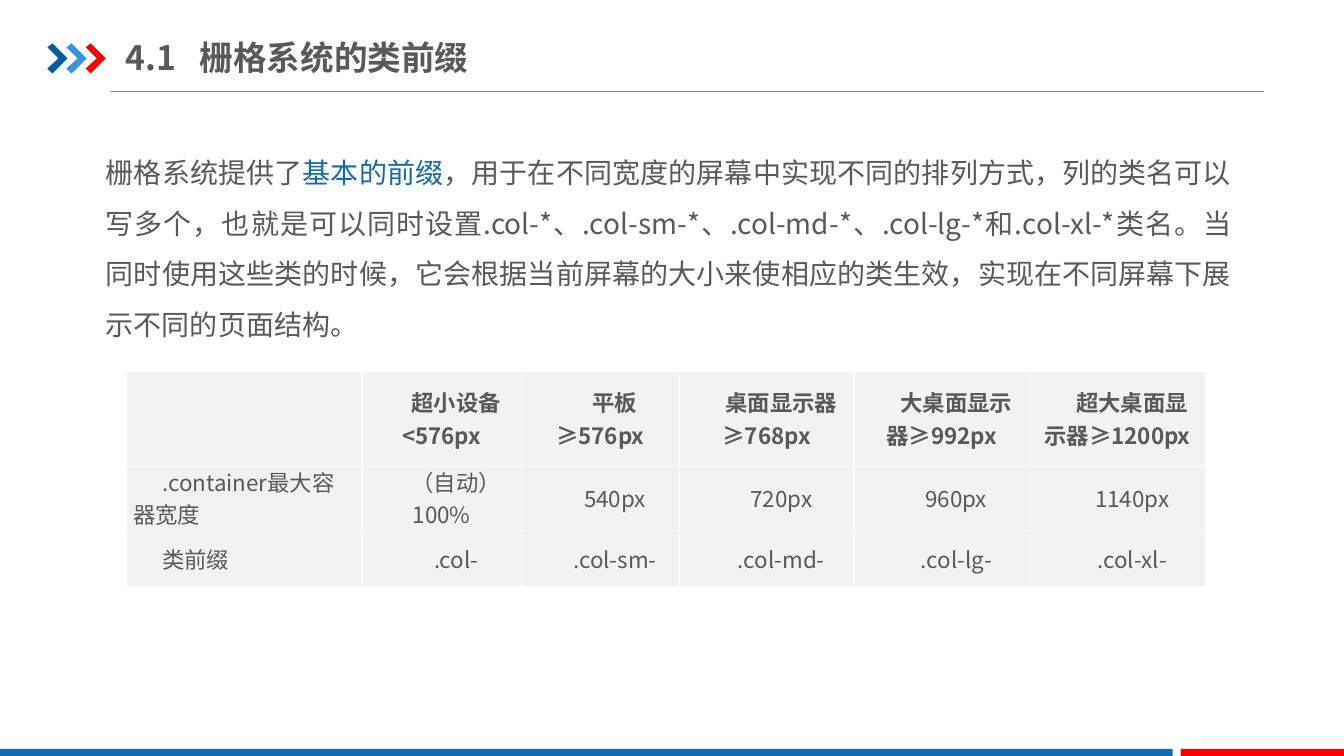
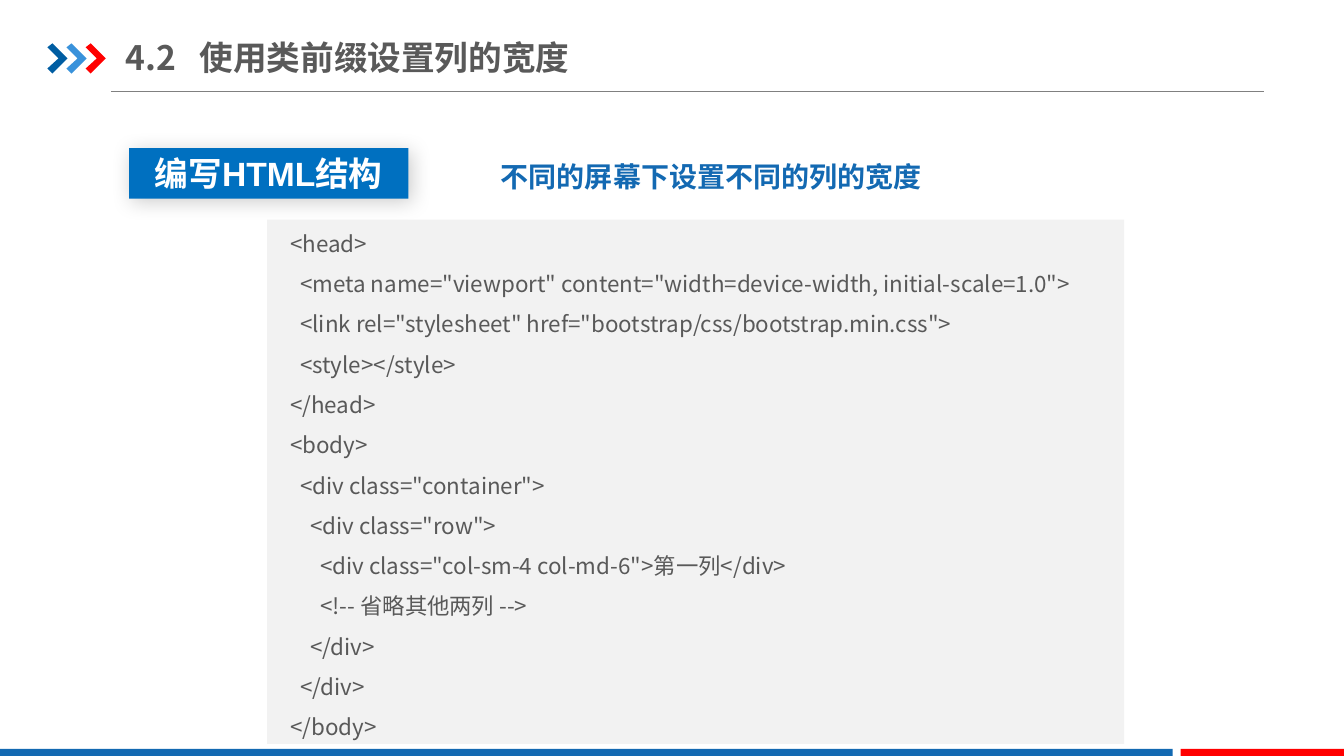
from dataclasses import dataclass

from lxml import etree
from pptx import Presentation
from pptx.dml.color import RGBColor
from pptx.enum.shapes import MSO_CONNECTOR, MSO_SHAPE
from pptx.enum.text import MSO_ANCHOR, PP_ALIGN
from pptx.oxml.ns import qn
from pptx.util import Inches, Pt

LEFT, CENTER, JUSTIFY = PP_ALIGN.LEFT, PP_ALIGN.CENTER, PP_ALIGN.JUSTIFY
TOP, MIDDLE = MSO_ANCHOR.TOP, MSO_ANCHOR.MIDDLE
RECT, STRAIGHT = MSO_SHAPE.RECTANGLE, MSO_CONNECTOR.STRAIGHT


@dataclass(frozen=True)
class Theme:
    """Colours, fonts and type sizes of the deck."""
    text: str = "595959"
    blue: str = "1369B2"
    red: str = "FF0000"
    label: str = "0070C0"
    panel: str = "F2F2F2"
    rule: str = "808080"
    white: str = "FFFFFF"
    shadow: str = "000000"
    chevrons: tuple = ("005DA2", "3992DB", "FF0000")
    font: str = "Noto Sans CJK SC"
    latin: str = "Arial"
    title: int = 24
    body: int = 20
    small: int = 16


T = Theme()

INTRO = [
    ("栅格系统提供了", T.text),
    ("基本的前缀", T.blue),
    ("，用于在不同宽度的屏幕中实现不同的排列方式，列的类名可以写多个，"
     "也就是可以同时设置.col-*、.col-sm-*、.col-md-*、.col-lg-*和.col-xl-*类名。"
     "当同时使用这些类的时候，它会根据当前屏幕的大小来使相应的类生效，"
     "实现在不同屏幕下展示不同的页面结构。", T.text),
]
GRID = [
    ["", "超小设备<576px", "平板≥576px", "桌面显示器≥768px",
     "大桌面显示器≥992px", "超大桌面显示器≥1200px"],
    [".container最大容器宽度", "（自动）100%", "540px", "720px", "960px", "1140px"],
    ["类前缀", ".col-", ".col-sm-", ".col-md-", ".col-lg-", ".col-xl-"],
]
CODE = """<head>
  <meta name="viewport" content="width=device-width, initial-scale=1.0">
  <link rel="stylesheet" href="bootstrap/css/bootstrap.min.css">
  <style></style>
</head>
<body>
  <div class="container">
    <div class="row">
      <div class="col-sm-4 col-md-6">第一列</div>
      <!-- 省略其他两列 -->
    </div>
  </div>
</body>"""


def apply(obj, fmt):
    """Set attributes of an object from a dict."""
    for name, value in fmt.items():
        setattr(obj, name, value)


def add_child(parent, tag, **attrs):
    """Append a DrawingML element with attributes."""
    return etree.SubElement(parent, qn(tag), {k: str(v) for k, v in attrs.items()})


def paint(sp, color):
    """Give a shape a flat fill without line or shadow."""
    sp.shadow.inherit = False
    sp.fill.solid()
    sp.fill.fore_color.rgb = RGBColor.from_string(color)
    sp.line.fill.background()


def add_run(p, text, size, color=T.text, bold=False, font=T.font):
    """Add a formatted run, with the East Asian font set too."""
    r = p.add_run()
    r.text = text
    apply(r.font, {"name": font, "size": Pt(size), "bold": bold})
    r.font.color.rgb = RGBColor.from_string(color)
    add_child(r.font._element, "a:ea", typeface=T.font)


def add_rect(s, box, color):
    """Add a flat rectangle."""
    sp = s.shapes.add_shape(RECT, *map(Inches, box))
    paint(sp, color)
    return sp


def add_text(s, box, paragraphs, size, align=LEFT, spacing=1.5, bold=False,
             anchor=TOP, inset=0.1):
    """Add a wrapping text box from lists of (text, colour) runs."""
    tf = s.shapes.add_textbox(*map(Inches, box)).text_frame
    apply(tf, {"word_wrap": True, "vertical_anchor": anchor,
               "margin_left": Inches(inset), "margin_right": Inches(inset)})
    for i, runs in enumerate(paragraphs):
        p = tf.add_paragraph() if i else tf.paragraphs[0]
        apply(p, {"alignment": align, "line_spacing": spacing})
        for text, color in runs:
            add_run(p, text, size, color, bold)
    return tf


def add_chevron(s, left, color):
    """Add one chevron of the title mark."""
    points = [(0, 0.47), (0.05, 0.43), (0.2, 0.58), (0.05, 0.73), (0, 0.68), (0.11, 0.58)]
    points = [(Inches(left + x), Inches(y)) for x, y in points]
    fb = s.shapes.build_freeform(*points[0], scale=1.0)
    fb.add_line_segments(points[1:], close=True)
    paint(fb.convert_to_shape(), color)


def add_frame(prs, number, title):
    """Add a slide with title, title mark, rule and footer bands."""
    s = prs.slides.add_slide(prs.slide_layouts[6])
    rule = s.shapes.add_connector(STRAIGHT, *map(Inches, (1.1, 0.91, 12.54, 0.91)))
    rule.line.color.rgb = RGBColor.from_string(T.rule)
    rule.line.width = Pt(0.75)
    add_child(rule._element.spPr, "a:effectLst")
    for i, color in enumerate(T.chevrons):
        add_chevron(s, 0.47 + 0.19 * i, color)
    add_rect(s, (0, 7.43, 11.63, 0.09), T.blue)
    add_rect(s, (11.71, 7.43, 1.63, 0.09), T.red)
    tf = add_text(s, (1.25, 0.29, 4.86, 0.55), [[(f"{number}\t{title}", T.text)]],
                  T.title, spacing=1.0, bold=True, anchor=MIDDLE, inset=0)
    tabs = add_child(tf.paragraphs[0]._p.get_or_add_pPr(), "a:tabLst")
    add_child(tabs, "a:tab", pos=Inches(0.73), algn="l")
    return s


def add_borders(cell, color):
    """Give a cell thin borders on all sides."""
    tcPr = cell._tc.get_or_add_tcPr()
    for i, side in enumerate("LRTB"):
        ln = add_child(tcPr, f"a:ln{side}", w=Pt(1))
        add_child(add_child(ln, "a:solidFill"), "a:srgbClr", val=color)
        tcPr.insert(i, ln)


def add_grid(s, left, top, rows, widths, heights):
    """Add a table with a bold head row and a left-aligned first column."""
    box = (left, top, sum(widths), sum(heights))
    table = s.shapes.add_table(len(rows), len(widths), *map(Inches, box)).table
    for col, width in zip(table.columns, widths):
        col.width = Inches(width)
    for i, (row, height) in enumerate(zip(rows, heights)):
        table.rows[i].height = Inches(height)
        for j, text in enumerate(row):
            cell = table.cell(i, j)
            apply(cell, {"vertical_anchor": MIDDLE, "margin_top": 0, "margin_bottom": 0,
                         "margin_left": Inches(0.07), "margin_right": Inches(0.07)})
            cell.fill.solid()
            cell.fill.fore_color.rgb = RGBColor.from_string(T.panel)
            add_borders(cell, T.white)
            if text:
                p = cell.text_frame.paragraphs[0]
                p.alignment = CENTER if j else LEFT
                p._p.get_or_add_pPr().set("indent", str(Inches(0.29)))
                add_run(p, text, T.small, bold=i == 0)


def add_label(s, box, text):
    """Add a filled heading label with a soft shadow."""
    sp = add_rect(s, box, T.label)
    effects = sp._element.spPr.find(qn("a:effectLst"))
    shadow = add_child(effects, "a:outerShdw", blurRad=Pt(15), dist=Pt(3),
                       dir=45 * 60000, algn="tl", rotWithShape=0)
    add_child(add_child(shadow, "a:srgbClr", val=T.shadow), "a:alpha", val=20000)
    tf = sp.text_frame
    apply(tf, {"word_wrap": True, "vertical_anchor": MIDDLE})
    p = tf.paragraphs[0]
    p.alignment = CENTER
    add_run(p, text, T.title, T.white, True, T.latin)


def build_prefixes(prs):
    """Build the slide on the class prefixes."""
    s = add_frame(prs, "4.1", "栅格系统的类前缀")
    add_grid(s, 1.25, 3.68, GRID,
             (2.34, 1.58, 1.57, 1.73, 1.74, 1.75), (0.94, 0.64, 0.56))
    add_text(s, (0.92, 1.33, 11.42, 2.15), [INTRO], T.body, JUSTIFY, inset=0.13)


def build_widths(prs):
    """Build the slide on setting column widths."""
    s = add_frame(prs, "4.2", "使用类前缀设置列的宽度")
    add_rect(s, (2.65, 2.18, 8.5, 5.2), T.panel)
    add_text(s, (4.02, 1.37, 6.07, 0.55), [[("不同的屏幕下设置不同的列的宽度", T.blue)]],
             T.body, CENTER, bold=True)
    add_text(s, (2.78, 2.1, 8.35, 5.35),
             [[(line, T.text)] for line in CODE.splitlines()], T.small)
    add_label(s, (1.28, 1.47, 2.77, 0.5), "编写HTML结构")


def main():
    """Build and save the deck."""
    prs = Presentation()
    apply(prs, {"slide_width": Inches(13.33), "slide_height": Inches(7.5)})
    build_prefixes(prs)
    build_widths(prs)
    prs.save("out.pptx")


if __name__ == "__main__":
    main()
